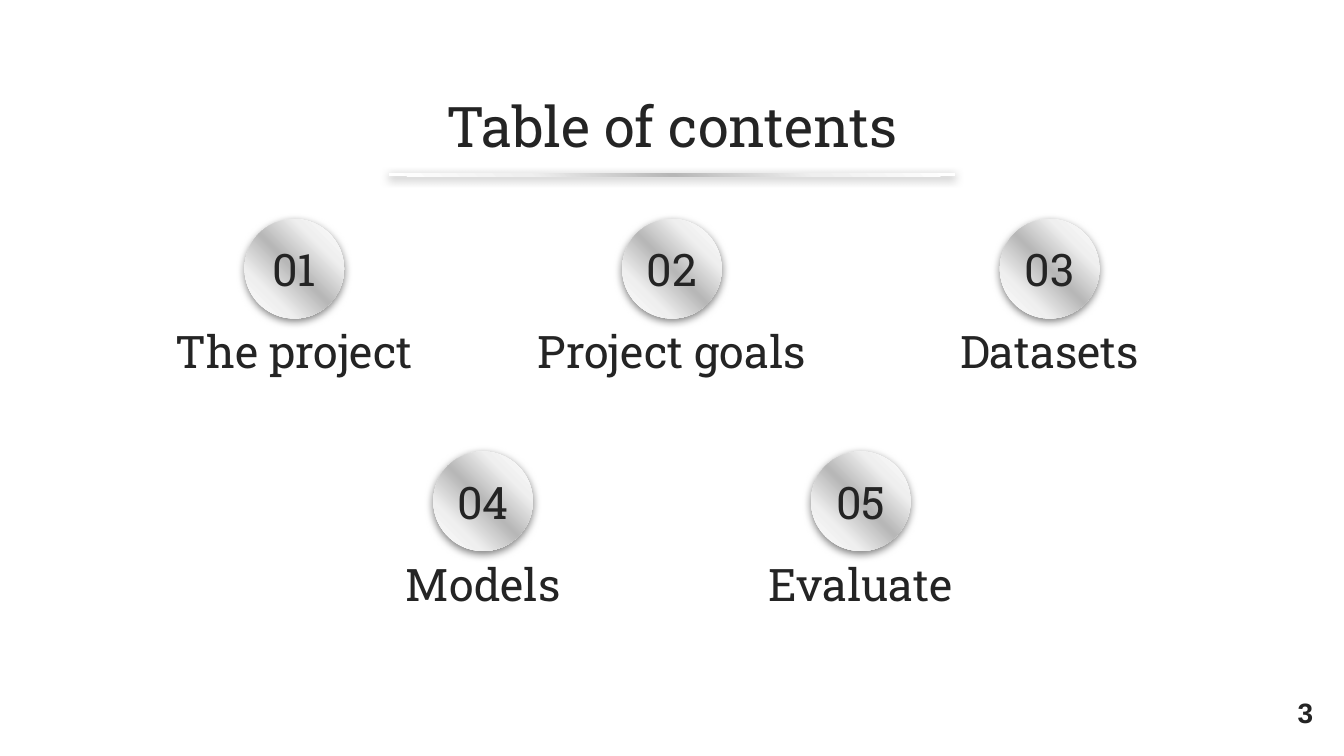
import pptx
import pptx.util
import pptx.dml.color
import pptx.enum.shapes
import pptx.enum.text
import pptx.oxml
import pptx.oxml.ns

Inches = pptx.util.Inches
Align = pptx.enum.text.PP_ALIGN
Anchor = pptx.enum.text.MSO_ANCHOR
Shape = pptx.enum.shapes.MSO_SHAPE

# Content
TITLE = "Table of contents"
ROWS = [
    [("01", "The project"), ("02", "Project goals"), ("03", "Datasets")],
    [("04", "Models"), ("05", "Evaluate")],
]
PAGE_NUMBER = "3"

# Style
INK = pptx.dml.color.RGBColor(0x24, 0x24, 0x24)
WHITE = pptx.dml.color.RGBColor(0xFF, 0xFF, 0xFF)
PALE = pptx.dml.color.RGBColor(0xEF, 0xEF, 0xEF)
GREY = pptx.dml.color.RGBColor(0xB7, 0xB7, 0xB7)
METAL = [(0, WHITE), (25, PALE), (50, GREY), (75, PALE), (100, WHITE)]
SLAB = "Roboto Slab"

# Grid, in inches
WIDTH = 10
HEIGHT = WIDTH * 9 / 16
CENTRE = WIDTH / 2
COLUMN, ROW = 2.81, 1.73
FIRST_ROW = 1.63
DISC = 0.74
NUMBER_WIDTH, TEXT_HEIGHT = 0.88, 0.48
NUMBER_DROP, LABEL_DROP = 0.07, 0.8


def add_metal(page, kind, centre, top, width, height):
    """Add a shape with a metallic gradient and a soft shadow."""
    shape = page.shapes.add_shape(
        kind, Inches(centre - width / 2), Inches(top), Inches(width), Inches(height))
    shape.line.fill.background()
    shape.fill.gradient()
    shape.fill.gradient_angle = 225
    properties = shape.element.spPr
    stops = properties.find(".//" + pptx.oxml.ns.qn("a:gsLst"))
    for stop in list(stops):
        stops.remove(stop)
    namespace = pptx.oxml.ns.nsdecls("a")
    for percent, color in METAL:
        stops.append(pptx.oxml.parse_xml(
            f'<a:gs {namespace} pos="{percent * 1000}"><a:srgbClr val="{color}"/></a:gs>'))
    shape.shadow.inherit = False
    properties.find(pptx.oxml.ns.qn("a:effectLst")).append(pptx.oxml.parse_xml(
        f'<a:outerShdw {namespace} blurRad="57150" dist="19050" dir="5400000" '
        'algn="bl" rotWithShape="0"><a:srgbClr val="000000">'
        '<a:alpha val="50000"/></a:srgbClr></a:outerShdw>'))


def write(box, text, size, anchor, align=Align.CENTER, font=SLAB, bold=False):
    """Fill a text shape with one formatted paragraph."""
    frame = box.text_frame
    frame.text = text
    frame.word_wrap = True
    frame.auto_size = pptx.enum.text.MSO_AUTO_SIZE.NONE
    frame.vertical_anchor = anchor
    frame.margin_left = frame.margin_right = Inches(0.1)
    frame.margin_top = frame.margin_bottom = Inches(0.1)
    para = frame.paragraphs[0]
    para.alignment = align
    span = para.runs[0].font
    span.name, span.size, span.bold = font, pptx.util.Pt(size), bold
    span.color.rgb = INK
    return para


def add_text(page, centre, top, width, height, *style, **options):
    """Add a text box centred on a vertical axis."""
    box = page.shapes.add_textbox(
        Inches(centre - width / 2), Inches(top), Inches(width), Inches(height))
    return write(box, *style, **options)


def main():
    deck = pptx.Presentation()
    deck.slide_width, deck.slide_height = Inches(WIDTH), Inches(HEIGHT)
    page = deck.slides.add_slide(deck.slide_layouts[5])

    # Title and its underline
    title = page.shapes.title
    title.left, title.top = Inches(CENTRE - 1.5 * COLUMN), Inches(0.67)
    title.width, title.height = Inches(3 * COLUMN), Inches(0.52)
    write(title, TITLE, 30, Anchor.MIDDLE)
    add_metal(page, Shape.RECTANGLE, CENTRE, 1.29, 1.5 * COLUMN, 0.02)

    # Numbered sections, each row centred on the slide
    for row, sections in enumerate(ROWS):
        top = FIRST_ROW + row * ROW
        for column, (number, label) in enumerate(sections):
            centre = CENTRE + (column - (len(sections) - 1) / 2) * COLUMN
            add_metal(page, Shape.OVAL, centre, top, DISC, DISC)
            add_text(page, centre, top + NUMBER_DROP, NUMBER_WIDTH, TEXT_HEIGHT,
                     number, 24, Anchor.TOP)
            add_text(page, centre, top + LABEL_DROP, COLUMN, TEXT_HEIGHT,
                     label, 24, Anchor.BOTTOM)

    # Page number
    para = add_text(page, 9.57, 5.1, 0.6, 0.43, PAGE_NUMBER, 15, Anchor.MIDDLE,
                    align=Align.RIGHT, font="Arial", bold=True)
    para.line_spacing = 0.9

    deck.save("out.pptx")


if __name__ == "__main__":
    main()
